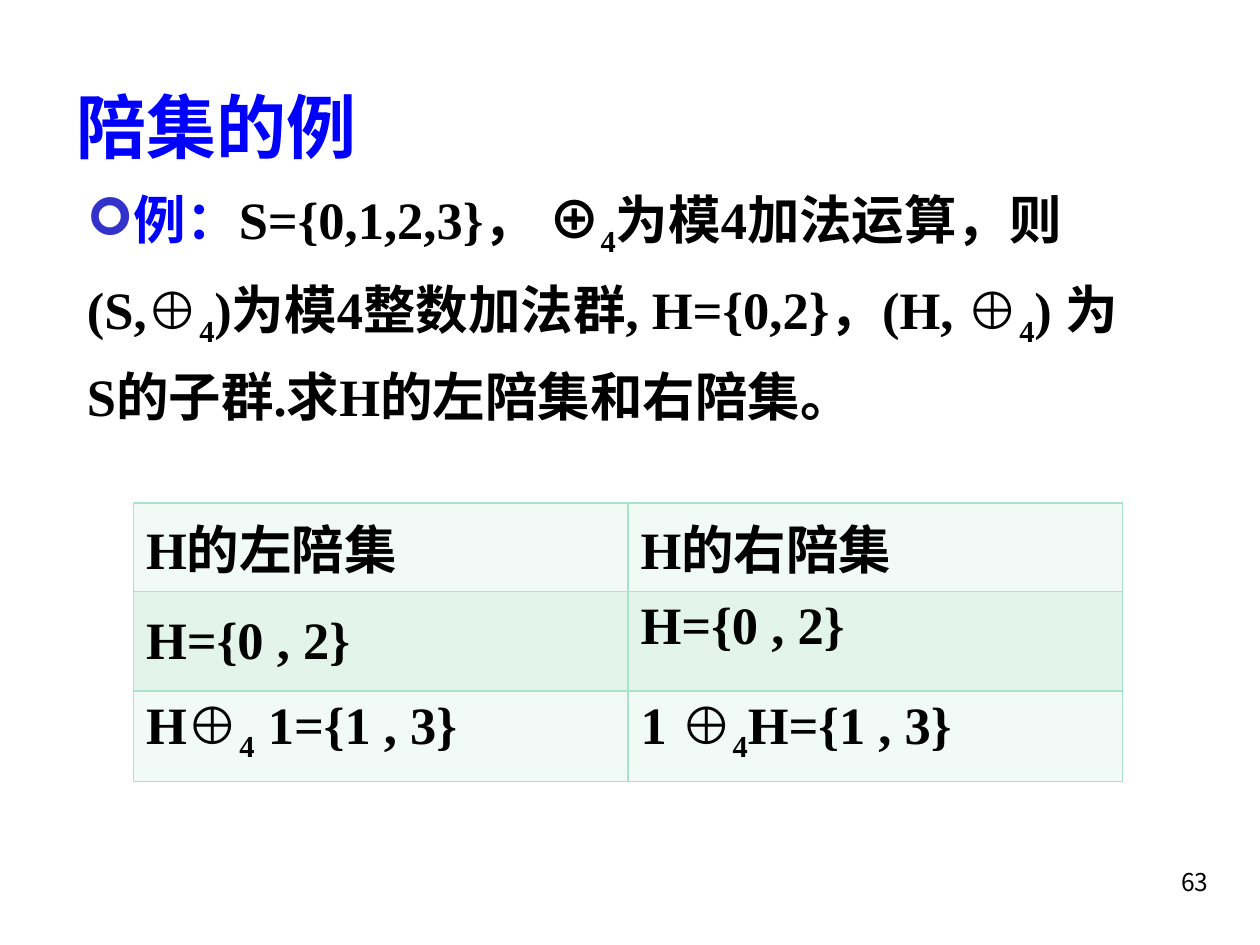
import pptx
import pptx.dml.color
import pptx.enum.text
import pptx.oxml
import pptx.oxml.ns
import pptx.util
from lxml import etree

Inches = pptx.util.Inches
Pt = pptx.util.Pt
Anchor = pptx.enum.text.MSO_ANCHOR
qn = pptx.oxml.ns.qn

COLORS = {
    "heading": "0000FF",
    "text": "000000",
    "bullet": "3333CC",
    "border": "AAE2CA",
    "light": "F1FAF6",
    "band": "E2F4EC",
}


def rgb(name):
    return pptx.dml.color.RGBColor.from_string(COLORS[name])


class SlideBuilder:
    font = "Times New Roman"
    size = 30

    def __init__(self, page):
        self.page = page

    def style(self, span, size=None, color="text", bold=True, font=None):
        span.font.name = font or self.font
        span.font.size = Pt(size or self.size)
        span.font.bold = bold
        span.font.color.rgb = rgb(color)

    def add_spans(self, para, parts):
        """Add runs; a part is (text, color), and the color "sub" is a subscript."""
        for text, kind in parts:
            span = para.add_run()
            span.text = text
            self.style(span, color="text" if kind == "sub" else kind)
            if kind == "sub":
                span.font._element.set("baseline", "-25000")

    def place(self, shape, left, top, width, height, anchor):
        shape.left, shape.top = Inches(left), Inches(top)
        shape.width, shape.height = Inches(width), Inches(height)
        frame = shape.text_frame
        frame.word_wrap = True
        frame.auto_size = pptx.enum.text.MSO_AUTO_SIZE.NONE
        frame.vertical_anchor = anchor
        return frame

    def title(self, text, *bounds):
        frame = self.place(self.page.shapes.title, *bounds, Anchor.MIDDLE)
        frame.text = text
        para = frame.paragraphs[0]
        para.alignment = pptx.enum.text.PP_ALIGN.LEFT
        self.style(para.runs[0], size=40, color="heading")

    def body(self, parts, *bounds):
        frame = self.place(self.page.placeholders[1], *bounds, Anchor.BOTTOM)
        frame.margin_bottom = Inches(0.44)
        para = frame.paragraphs[0]
        props = para._p.get_or_add_pPr()
        props.set("marL", "0")
        props.set("indent", "0")
        color = etree.SubElement(props, qn("a:buClr"))
        etree.SubElement(color, qn("a:srgbClr"), val=COLORS["bullet"])
        etree.SubElement(props, qn("a:buFont"), typeface="Wingdings")
        etree.SubElement(props, qn("a:buChar"), char="➢")
        para.line_spacing = 1.25
        para.space_before = Pt(0)
        self.add_spans(para, parts)

    def border(self, cell):
        props = cell._tc.get_or_add_tcPr()
        for index, side in enumerate(("lnL", "lnR", "lnT", "lnB")):
            line = etree.Element(qn("a:" + side), w=str(Pt(1)))
            fill = etree.SubElement(line, qn("a:solidFill"))
            etree.SubElement(fill, qn("a:srgbClr"), val=COLORS["border"])
            props.insert(index, line)

    def table(self, rows, heights, left, top, width):
        columns = len(rows[0])
        frame = self.page.shapes.add_table(
            len(rows), columns, Inches(left), Inches(top),
            Inches(width), Inches(sum(heights)))
        grid = frame.table
        grid.first_row = grid.horz_banding = False
        for r, (row, height) in enumerate(zip(rows, heights)):
            grid.rows[r].height = Inches(height)
            for c, parts in enumerate(row):
                cell = grid.cell(r, c)
                cell.fill.solid()
                cell.fill.fore_color.rgb = rgb("band" if r % 2 else "light")
                self.border(cell)
                self.add_spans(cell.text_frame.paragraphs[0], parts)
        return grid

    def page_number(self, text, *bounds):
        box = self.page.shapes.add_textbox(0, 0, 0, 0)
        frame = self.place(box, *bounds, Anchor.TOP)
        frame.text = text
        para = frame.paragraphs[0]
        para.alignment = pptx.enum.text.PP_ALIGN.RIGHT
        self.style(para.runs[0], size=14, bold=False, font="Noto Sans CJK KR")


def main():
    deck = pptx.Presentation()
    deck.slide_width, deck.slide_height = Inches(10), Inches(7.5)
    builder = SlideBuilder(deck.slides.add_slide(deck.slide_layouts[1]))
    four = ("4", "sub")

    # Title and problem statement
    builder.title("陪集的例", 0.51, 0.6, 8.5, 0.79)
    builder.body([
        ("例：", "heading"),
        ("S={0,1,2,3}， ⊕", "text"), four,
        ("为模4加法运算，则(S,⊕", "text"), four,
        (")为模4整数加法群, H={0,2}，(H, ⊕", "text"), four,
        (") 为S的子群.求H的左陪集和右陪集。", "text"),
    ], 0.59, 1.55, 8.5, 2.28)

    # Left and right cosets
    subgroup = [("H={0 , 2}", "text")]
    cosets = builder.table([
        [[("H的左陪集", "text")], [("H的右陪集", "text")]],
        [subgroup, subgroup],
        [[("H⊕", "text"), four, (" 1={1 , 3}", "text")],
         [("1 ⊕", "text"), four, ("H={1 , 3}", "text")]],
    ], [0.68, 0.79, 0.72], 1.06, 3.99, 7.85)
    cosets.cell(1, 0).text_frame.paragraphs[0].line_spacing = 1.25

    # Page number
    builder.page_number("63", 7.61, 6.83, 2.08, 0.5)

    deck.save("out.pptx")


if __name__ == "__main__":
    main()
